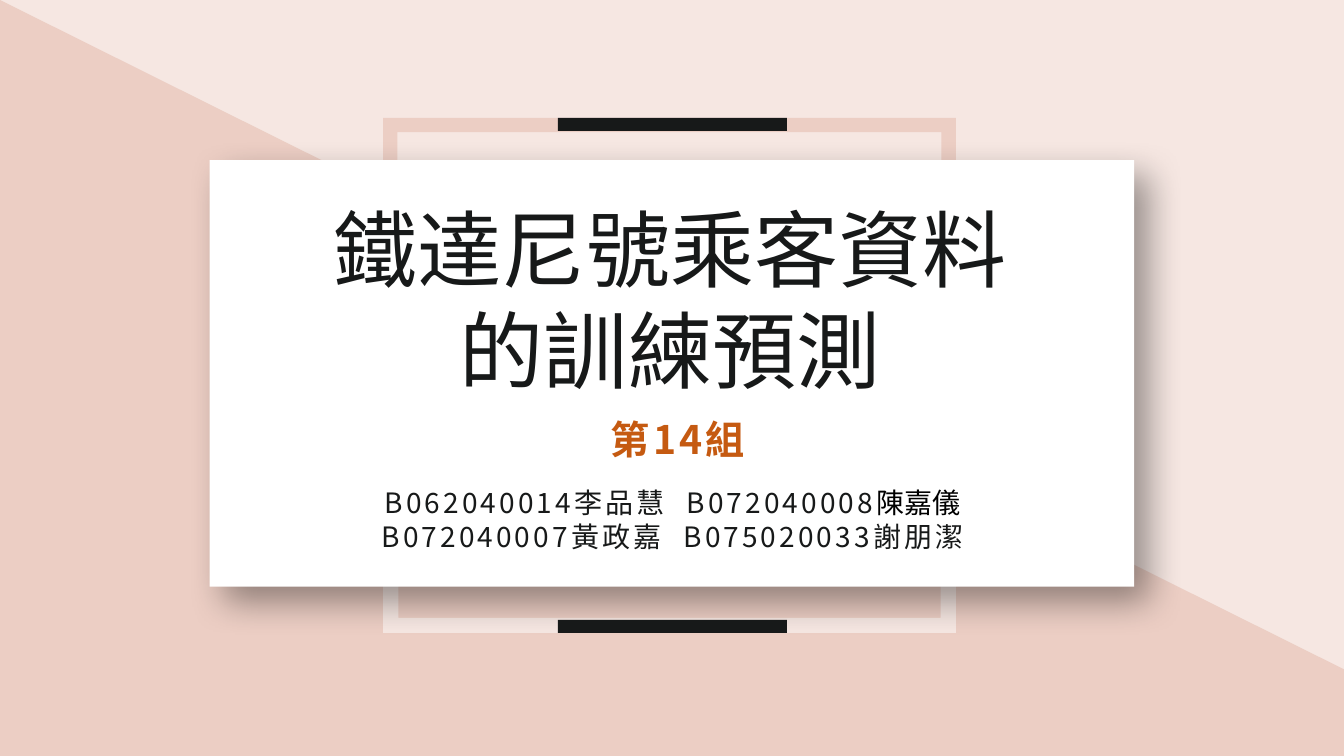
from lxml.etree import SubElement
from pptx import Presentation
from pptx.dml.color import RGBColor
from pptx.enum.shapes import MSO_SHAPE
from pptx.enum.text import MSO_ANCHOR, MSO_AUTO_SIZE, PP_ALIGN
from pptx.oxml.ns import qn
from pptx.util import Inches, Pt

TITLE = "鐵達尼號乘客資料的訓練預測"
GROUP = "第14組"
# Each row holds two members; a member is (text, colour, tracking) runs.
PLAIN = ("ink", 2.2)
GAP = (" ", "ink", 9)
MEMBERS = [
    [("B062040014李品慧", *PLAIN), GAP, ("B072040008", *PLAIN), ("陳嘉儀", "black", 0)],
    [("B072040007黃政嘉", *PLAIN), GAP, ("B075020033謝朋潔", *PLAIN)],
]
FONT = "Noto Sans CJK SC"
COLORS = {"pale": "F6E7E2", "rose": "ECCEC4", "white": "FFFFFF",
          "ink": "171919", "black": "000000", "rust": "C55A11"}

WIDE, HIGH = 13.33, 7.5
FRAME_X, FRAME_W = 3.8, 5.68
TOP, BOTTOM = 1.17, 6.28
BAR_W, BAR_H = FRAME_W * 0.4, 0.13
BAR_X = FRAME_X + (FRAME_W - BAR_W) / 2 + 0.03
CARD = (2.08, 1.59, 9.17, 4.23)
FRAMES = [("pale", 2.22, BOTTOM - 2.22), ("rose", TOP, 3.84)]


def rgb(name):
    return RGBColor.from_string(COLORS[name])


def add(slide, kind, color, *box):
    """Add a flat, borderless shape."""
    shape = slide.shapes.add_shape(kind, *map(Inches, box))
    shape.shadow.inherit = False
    shape.fill.solid()
    shape.fill.fore_color.rgb = rgb(color)
    shape.line.fill.background()
    return shape


def cast(shape):
    """Give the card its soft outer shadow, down and to the right."""
    effects = shape._element.spPr.find(qn("a:effectLst"))
    outer = SubElement(effects, qn("a:outerShdw"), blurRad=str(Pt(25)),
                       dist=str(Pt(15)), dir=str(45 * 60000),
                       algn="tl", rotWithShape="0")
    tint = SubElement(outer, qn("a:srgbClr"), val=COLORS["black"])
    SubElement(tint, qn("a:alpha"), val="38000")


def place(shape, *box):
    shape.left, shape.top, shape.width, shape.height = map(Inches, box)
    frame = shape.text_frame
    frame.word_wrap = True
    frame.auto_size = MSO_AUTO_SIZE.SHAPE_TO_FIT_TEXT
    frame.vertical_anchor = MSO_ANCHOR.TOP
    return frame


def style(para, size, color, align, bold=False):
    para.alignment = align
    para.space_before = Pt(0)
    para.line_spacing = 1.0
    font = para.font
    font.size, font.bold, font.name = Pt(size), bold, FONT
    font.color.rgb = rgb(color)
    props = para._p.get_or_add_pPr().get_or_add_defRPr()
    SubElement(props, qn("a:ea"), typeface=FONT)


def track(run, points):
    run._r.get_or_add_rPr().set("spc", str(round(points * 100)))


def main():
    deck = Presentation()
    deck.slide_width, deck.slide_height = Inches(WIDE), Inches(HIGH)
    slide = deck.slides.add_slide(deck.slide_layouts[0])
    slide.background.fill.solid()
    slide.background.fill.fore_color.rgb = rgb("pale")

    add(slide, MSO_SHAPE.RIGHT_TRIANGLE, "rose", 0, 0, 16.2, 8.07)
    for color, y, height in FRAMES:
        ring = add(slide, MSO_SHAPE.FRAME, color, FRAME_X, y, FRAME_W, height)
        ring.adjustments[0] = 0.037
    cast(add(slide, MSO_SHAPE.RECTANGLE, "white", *CARD))
    for y in (TOP, BOTTOM - BAR_H):
        add(slide, MSO_SHAPE.RECTANGLE, "ink", BAR_X, y, BAR_W, BAR_H)

    title, names = slide.shapes.title, slide.placeholders[1]
    for holder in (title, names):
        slide.shapes._spTree.append(holder._element)  # bring to front

    frame = place(title, 2.95, 1.91, 7.39, 2.12)
    frame.text = TITLE
    style(frame.paragraphs[0], 60, "ink", PP_ALIGN.CENTER)

    frame = place(names, 2.95, 4.78, 7.44, 0.75)
    frame.margin_left = frame.margin_right = Inches(0.07)
    frame.margin_top = frame.margin_bottom = Inches(0.04)
    for i, row in enumerate(MEMBERS):
        para = frame.add_paragraph() if i else frame.paragraphs[0]
        style(para, 20, "ink", PP_ALIGN.CENTER)
        for text, color, space in row:
            run = para.add_run()
            run.text = text
            run.font.color.rgb = rgb(color)
            track(run, space)

    label = slide.shapes.add_textbox(0, 0, 0, 0)
    frame = place(label, 5.96, 4.07, 1.94, 0.57)
    para = frame.paragraphs[0]
    style(para, 28, "rust", PP_ALIGN.LEFT, bold=True)
    run = para.add_run()
    run.text = GROUP
    track(run, 2.2)

    deck.save("out.pptx")


if __name__ == "__main__":
    main()
